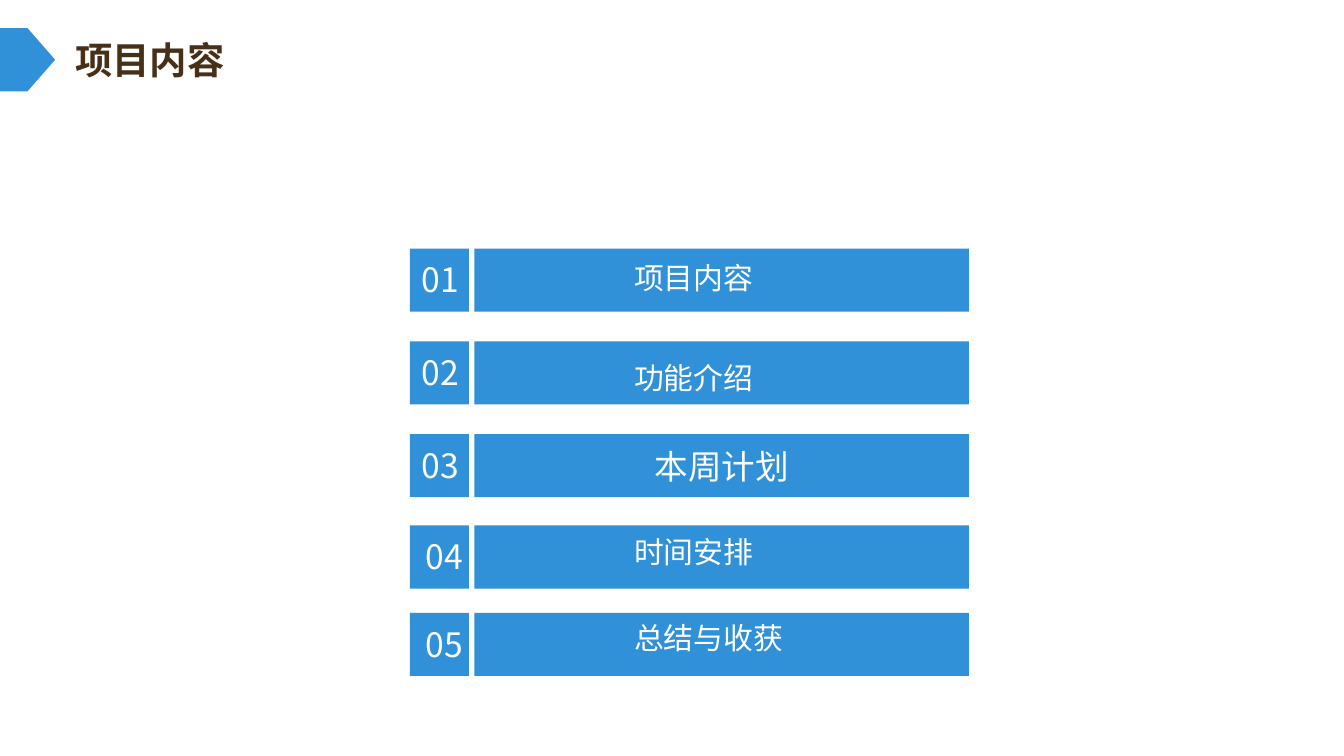
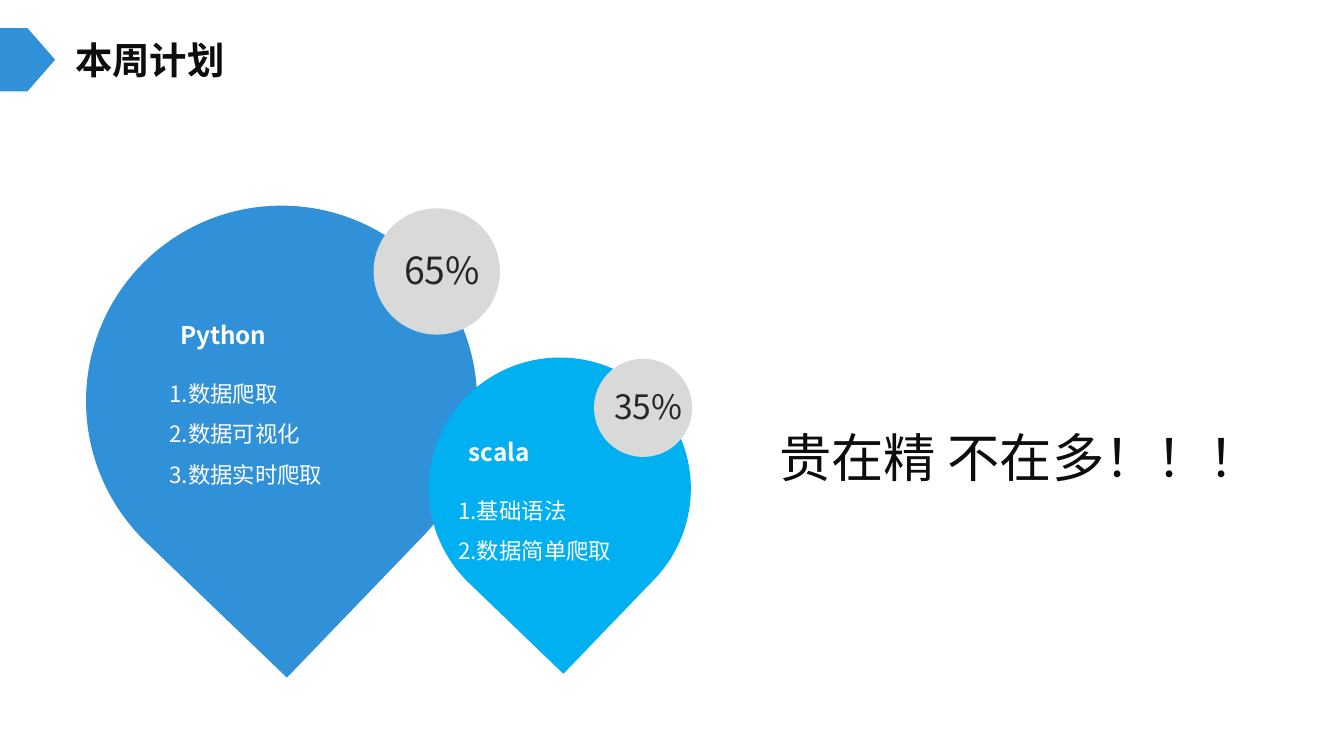
from dataclasses import dataclass
from lxml import etree
from pptx import Presentation, util as u
from pptx.dml.color import RGBColor
from pptx.enum import shapes, text
from pptx.oxml import ns

Inches, Pt = u.Inches, u.Pt
Kind, Align = shapes.MSO_SHAPE, text.PP_ALIGN


@dataclass(frozen=True)
class Theme:
    face: str = "Noto Sans CJK SC"
    blue: str = "3090D8"
    cyan: str = "00B0F0"
    gray: str = "D9D9D9"
    white: str = "FFFFFF"
    brown: str = "483018"
    black: str = "0D0D0D"
    dark: str = "262626"
    title: int = 20
    num: int = 18
    label: int = 16
    head: int = 13
    body: int = 12
    motto: int = 28


theme = Theme()


def style(para, size, color, bold=None):
    font = para.font
    font.size = Pt(size)
    font.bold = bold
    font.color.rgb = RGBColor.from_string(color)
    font.name = theme.face
    east = etree.SubElement(para._p.pPr.find(ns.qn("a:defRPr")), ns.qn("a:ea"))
    east.set("typeface", theme.face)


def shape(slide, kind, box, color, turn=0):
    item = slide.shapes.add_shape(kind, *map(Inches, box))
    item.shadow.inherit = False
    item.fill.solid()
    item.fill.fore_color.rgb = RGBColor.from_string(color)
    item.line.fill.background()
    item.rotation = turn
    return item


def write(slide, box, lines, size, color, bold=None, wrap=False,
          space=None, align=None):
    frame = slide.shapes.add_textbox(*map(Inches, box)).text_frame
    frame.word_wrap = wrap
    frame.auto_size = text.MSO_AUTO_SIZE.SHAPE_TO_FIT_TEXT
    if wrap:
        frame.margin_left = frame.margin_right = Inches(0.13)
        frame.margin_top = frame.margin_bottom = Inches(0.07)
    for i, line in enumerate(lines):
        para = frame.add_paragraph() if i else frame.paragraphs[0]
        para.text = line
        para.line_spacing = space
        para.alignment = align
        style(para, size, color, bold)


def header(slide, title, color):
    shape(slide, Kind.PENTAGON, (0, 0.21, 0.41, 0.47), theme.blue)
    write(slide, (0.46, 0.23, 1.31, 0.44), [title], theme.title, color, True)


def entry(slide, box, num, shift, label, drop):
    left, top, wide, high = box
    side, gap = 0.44, 0.04
    shape(slide, Kind.RECTANGLE, (left, top, side, high), theme.blue)
    write(slide, (left + shift, top + 0.03, 0.5, 0.4), [num],
          theme.num, theme.white)
    start = left + side + gap
    bar = shape(slide, Kind.RECTANGLE,
                (start, top, wide - side - gap, high), theme.blue)
    if drop is None:
        frame = bar.text_frame
        frame.vertical_anchor = text.MSO_ANCHOR.MIDDLE
        para = frame.paragraphs[0]
        para.text = label
        para.alignment = Align.CENTER
        style(para, theme.num, theme.white)
    else:
        write(slide, (start + 1.09, top + drop, 0.22 * len(label) + 0.22, 0.37),
              [label], theme.label, theme.white)


def agenda(slide, left, wide):
    rows = [
        (1.85, -0.01, "项目内容", 0.03),
        (2.54, -0.01, "功能介绍", 0.09),
        (3.23, -0.01, "本周计划", None),
        (3.91, 0.02, "时间安排", 0.01),
        (4.56, 0.02, "总结与收获", 0),
    ]
    for i, (top, shift, label, drop) in enumerate(rows, 1):
        entry(slide, (left, top, wide, 0.47), f"{i:02}", shift, label, drop)


def drop(slide, box, color):
    shape(slide, Kind.TEAR, box, color, 133.9)


def badge(slide, box, label, place, size):
    shape(slide, Kind.OVAL, box, theme.gray)
    write(slide, place, [label], size, theme.dark)


def topic(slide, box, head, lines):
    left, top, wide, high = box
    write(slide, (left + 0.08, top, 1.57, 0.36), [head], theme.head,
          theme.white, True, True, Pt(16), Align.JUSTIFY)
    write(slide, (left, top + 0.35, wide, high - 0.35), lines, theme.body,
          theme.white, None, True, 1.5)


def plan(slide):
    drop(slide, (0.64, 1.53, 2.91, 2.91), theme.blue)
    drop(slide, (3.19, 2.66, 1.95, 1.95), theme.cyan)
    badge(slide, (2.78, 1.55, 0.94, 0.94), "65%",
          (2.91, 1.79, 0.77, 0.44), theme.title)
    badge(slide, (4.42, 2.67, 0.73, 0.73), "35%",
          (4.47, 2.82, 0.72, 0.4), theme.num)
    topic(slide, (1.13, 2.31, 1.88, 1.39), "Python",
          ["1.数据爬取", "2.数据可视化", "3.数据实时爬取"])
    topic(slide, (3.28, 3.18, 1.88, 1.09), "scala",
          ["1.基础语法", "2.数据简单爬取"])
    write(slide, (5.67, 2.86, 3.62, 0.84), ["贵在精 不在多！！！"],
          theme.motto, theme.black, None, True, 1.5)


deck = Presentation()
deck.slide_width = Inches(10)
deck.slide_height = deck.slide_width * 9 // 16
blank = deck.slide_layouts[6]

first = deck.slides.add_slide(blank)
header(first, "项目内容", theme.brown)
agenda(first, 3.05, 4.16)

second = deck.slides.add_slide(blank)
header(second, "本周计划", theme.black)
plan(second)

deck.save("out.pptx")
